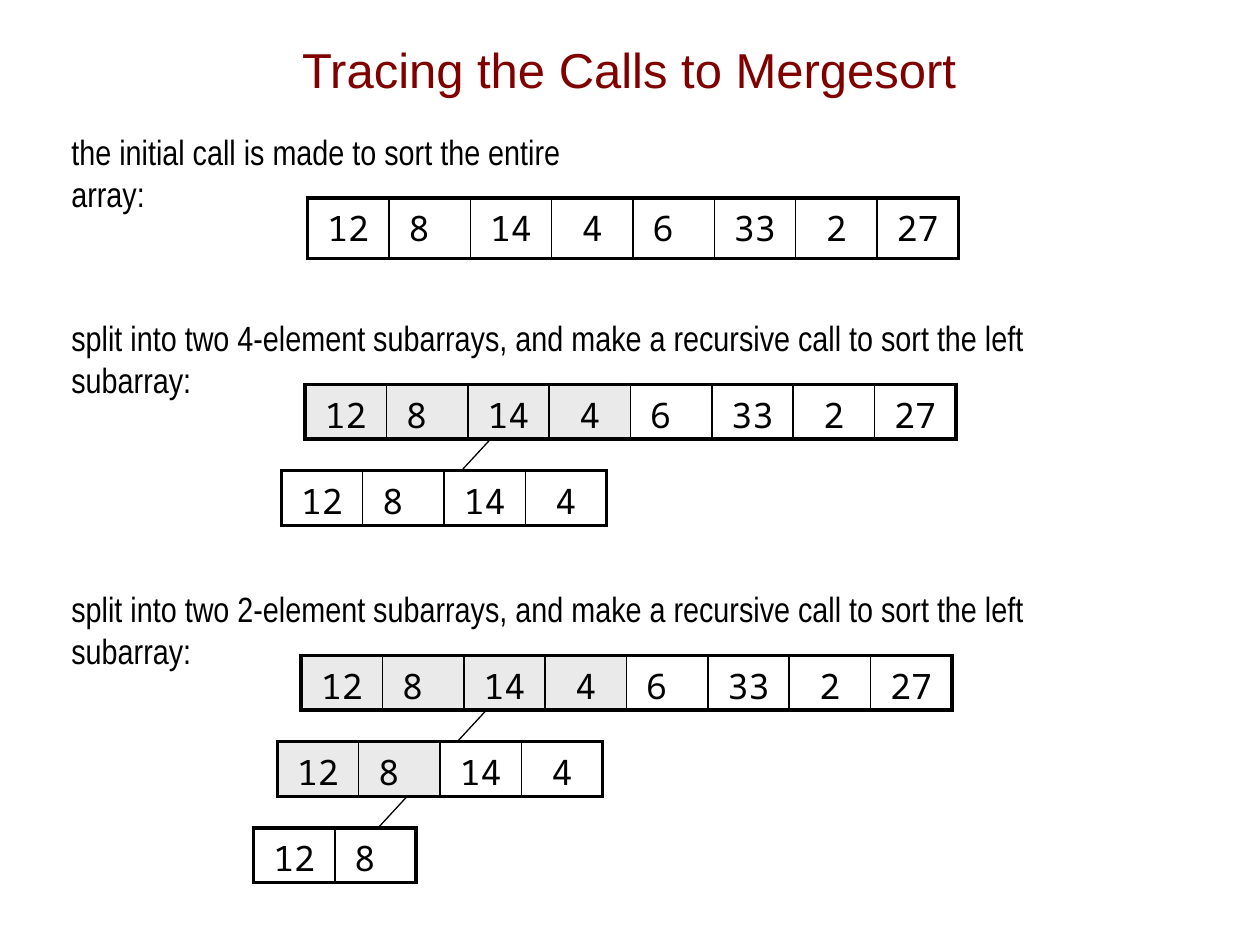
from lxml import etree
from pptx import Presentation
from pptx.dml.color import RGBColor
from pptx.enum.shapes import MSO_CONNECTOR
from pptx.enum.text import MSO_ANCHOR, MSO_AUTO_SIZE, PP_ALIGN
from pptx.oxml.ns import qn
from pptx.util import Cm, Pt

STRAIGHT = MSO_CONNECTOR.STRAIGHT
TOP, MIDDLE = MSO_ANCHOR.TOP, MSO_ANCHOR.MIDDLE
GROW, FIXED = MSO_AUTO_SIZE.SHAPE_TO_FIT_TEXT, MSO_AUTO_SIZE.NONE
LEFT, CENTER = PP_ALIGN.LEFT, PP_ALIGN.CENTER

COLORS = {"heading": "800000", "ink": "000000", "active": "EAEAEA"}
FORMATS = {
    "heading": {"name": "Arial", "size": Pt(28)},
    "caption": {"name": "Arial Narrow", "size": Pt(20)},
    "element": {"name": "Noto Sans Mono", "size": Pt(20)},
}
CELL_WIDTH, ROW_HEIGHT = 1.64, 0.86
CAPTION_LEFT, CAPTION_RISE = 1.19, 1.49
LEVEL_SHIFT, LEVEL_DROP = -0.48, 1.74
CALL_RUN, CALL_RISE = 0.6, 0.65
CALL_ENDS = {4: 3.63, 2: 2.51}
OUTER, INNER = 2.25, 1

VALUES = ["12", "8 ", "14", "4", "6 ", "33", "2", "27"]
STAGES = [
    ("the initial call is made to sort the entire array:", 11.95, 6.2, 3.99, [8]),
    ("split into two 4-element subarrays, and make a recursive call "
     "to sort the left subarray:", 22.2, 6.15, 7.75, [8, 4]),
    ("split into two 2-element subarrays, and make a recursive call "
     "to sort the left subarray:", 22.2, 6.07, 13.21, [8, 4, 2]),
]


class TraceSlide:
    def __init__(self, slide):
        self.slide = slide

    def style(self, paragraph, text, role, color, align):
        paragraph.alignment = align
        run = paragraph.add_run()
        run.text = text
        for attribute, value in FORMATS[role].items():
            setattr(run.font, attribute, value)
        run.font.color.rgb = RGBColor.from_string(COLORS[color])

    def text(self, text, box, role, color, align, anchor, fit):
        frame = self.slide.shapes.add_textbox(*map(Cm, box)).text_frame
        layout = {"word_wrap": True, "vertical_anchor": anchor, "auto_size": fit}
        for attribute, value in layout.items():
            setattr(frame, attribute, value)
        self.style(frame.paragraphs[0], text, role, color, align)

    def border(self, cell, side, width):
        edge = etree.SubElement(cell._tc.get_or_add_tcPr(), qn(f"a:ln{side}"), w=str(Pt(width)))
        fill = etree.SubElement(edge, qn("a:solidFill"))
        etree.SubElement(fill, qn("a:srgbClr"), val=COLORS["ink"])

    def array(self, left, top, count, active):
        table = self.slide.shapes.add_table(
            1, count, Cm(left), Cm(top), Cm(CELL_WIDTH * count), Cm(ROW_HEIGHT)).table
        table.first_row = table.horz_banding = False
        for index, value in enumerate(VALUES[:count]):
            table.columns[index].width = Cm(CELL_WIDTH)
            cell = table.cell(0, index)
            self.style(cell.text_frame.paragraphs[0], value, "element", "ink", CENTER)
            self.border(cell, "L", OUTER if index == 0 else INNER)
            self.border(cell, "R", OUTER if index == count - 1 else INNER)
            self.border(cell, "T", OUTER)
            self.border(cell, "B", OUTER)
            if index < active:
                cell.fill.solid()
                cell.fill.fore_color.rgb = RGBColor.from_string(COLORS["active"])
            else:
                cell.fill.background()

    def call(self, end_x, end_y):
        link = self.slide.shapes.add_connector(
            STRAIGHT, Cm(end_x + CALL_RUN), Cm(end_y - CALL_RISE), Cm(end_x), Cm(end_y))
        link.line.width = Pt(0.75)
        link.line.color.rgb = RGBColor.from_string(COLORS["ink"])
        etree.SubElement(link._element.spPr, qn("a:effectLst"))

    def stage(self, caption, width, left, top, counts):
        for level, count in enumerate(counts):
            array_left = left + level * LEVEL_SHIFT
            array_top = top + level * LEVEL_DROP
            active = counts[level + 1] if level + 1 < len(counts) else 0
            self.array(array_left, array_top, count, active)
            if level:
                self.call(array_left + CALL_ENDS[count], array_top)
        self.text(caption, (CAPTION_LEFT, top - CAPTION_RISE, width, 1.09),
                  "caption", "ink", LEFT, TOP, GROW)


def main():
    deck = Presentation()
    deck.slide_width, deck.slide_height = Cm(25.4), Cm(19.05)
    trace = TraceSlide(deck.slides.add_slide(deck.slide_layouts[6]))
    trace.text("Tracing the Calls to Mergesort", (1.9, 0.2, 21.56, 2.36),
               "heading", "heading", CENTER, MIDDLE, FIXED)
    for stage in STAGES:
        trace.stage(*stage)
    deck.save("out.pptx")


if __name__ == "__main__":
    main()
